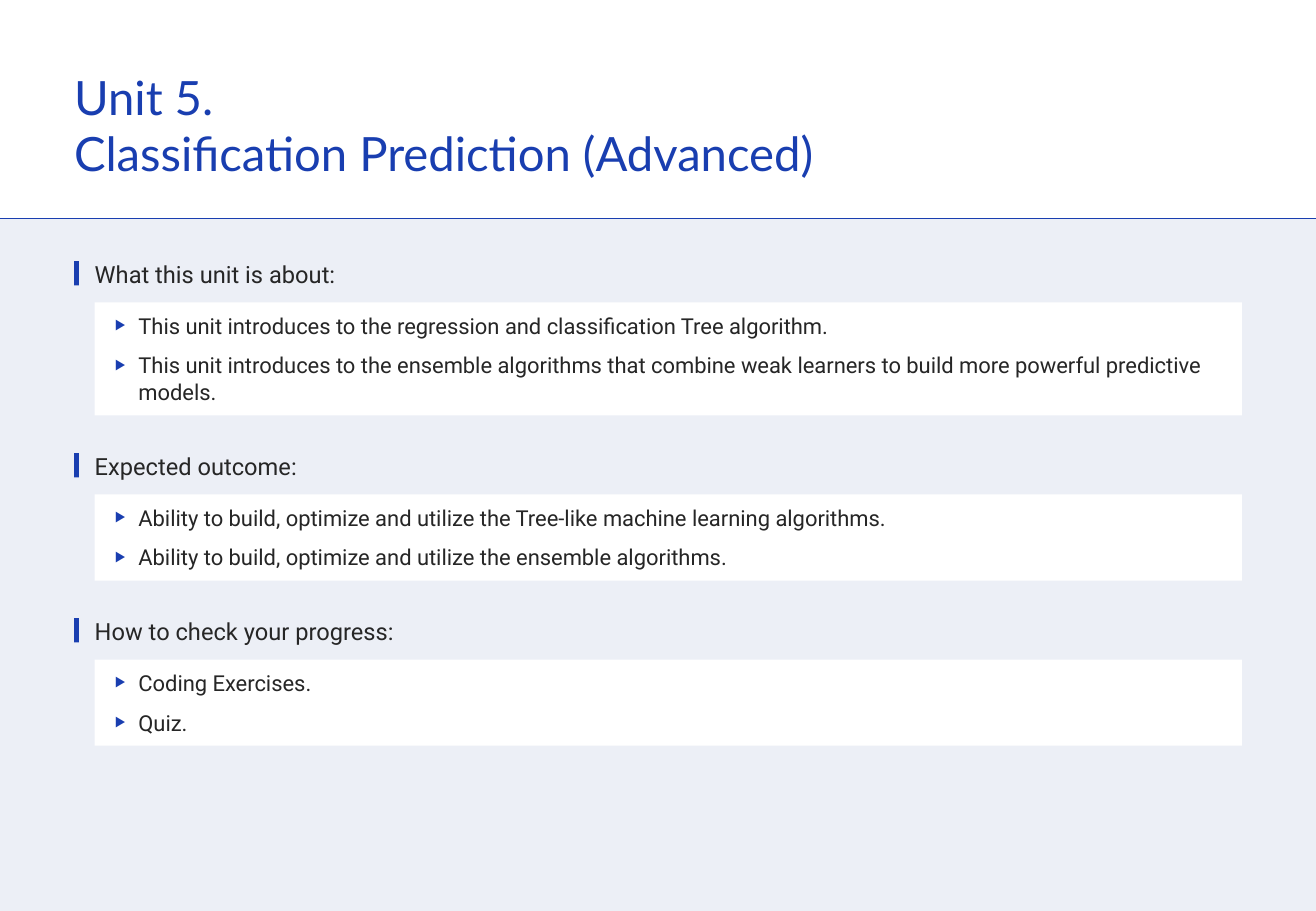
import dataclasses

import pptx
import pptx.dml.color
import pptx.enum.shapes
import pptx.enum.text
import pptx.oxml.ns
import pptx.util
from lxml import etree

PX = 9144
PAGE_WIDTH, PAGE_HEIGHT = 1083, 750
BODY_TOP = 180
LEFT, CONTENT_WIDTH = 61, 961
SECTION_GAP = 30


@dataclasses.dataclass(frozen=True)
class Theme:
    accent: str = "193EB0"
    ink: str = "262626"
    panel: str = "ECEFF6"
    white: str = "FFFFFF"
    title_font: str = "Lato"
    text_font: str = "Roboto"
    title_size: int = 28
    heading_size: int = 14
    body_size: int = 13


THEME = Theme()

SECTIONS = [
    ("What this unit is about:", 93, [
        "This unit introduces to the regression and classification Tree algorithm.",
        "This unit introduces to the ensemble algorithms that combine weak learners "
        "to build more powerful predictive models.",
    ]),
    ("Expected outcome:", 71, [
        "Ability to build, optimize and utilize the Tree-like machine learning algorithms.",
        "Ability to build, optimize and utilize the ensemble algorithms.",
    ]),
    ("How to check your progress:", 71, ["Coding Exercises.", "Quiz."]),
]


def px(*lengths):
    return [pptx.util.Emu(length * PX) for length in lengths]


def rgb(value):
    return pptx.dml.color.RGBColor.from_string(value)


def add_rectangle(page, left, top, width, height, colour):
    box = page.shapes.add_shape(
        pptx.enum.shapes.MSO_SHAPE.RECTANGLE, *px(left, top, width, height))
    box.shadow.inherit = False
    box.fill.solid()
    box.fill.fore_color.rgb = rgb(colour)
    box.line.fill.background()
    return box


def add_bullet(para):
    properties = para._p.get_or_add_pPr()
    indent = px(20)[0]
    properties.set("marL", str(indent))
    properties.set("indent", str(-indent))
    qn = pptx.oxml.ns.qn
    colour = etree.SubElement(properties, qn("a:buClr"))
    etree.SubElement(colour, qn("a:srgbClr")).set("val", THEME.accent)
    etree.SubElement(properties, qn("a:buFont")).set("typeface", THEME.text_font)
    etree.SubElement(properties, qn("a:buChar")).set("char", "‣")


def write(box, lines, font, size, colour, inset=(0, 0), after=0, bullets=False):
    frame = box.text_frame
    frame.word_wrap = True
    frame.vertical_anchor = pptx.enum.text.MSO_ANCHOR.TOP
    frame.margin_left, frame.margin_top = px(*inset)
    frame.margin_right, frame.margin_bottom = px(*inset)
    for index, line in enumerate(lines):
        para = frame.add_paragraph() if index else frame.paragraphs[0]
        para.alignment = pptx.enum.text.PP_ALIGN.LEFT
        para.space_after = pptx.util.Pt(after)
        if bullets:
            add_bullet(para)
        span = para.add_run()
        span.text = line
        span.font.name = font
        span.font.size = pptx.util.Pt(size)
        span.font.color.rgb = rgb(colour)


def add_background(page, top, width, height):
    add_rectangle(page, 0, top, width, height, THEME.panel)
    rule = page.shapes.add_connector(
        pptx.enum.shapes.MSO_CONNECTOR.STRAIGHT, *px(0, top, width, top))
    rule.line.color.rgb = rgb(THEME.accent)
    rule.line.width = pptx.util.Pt(0.5)
    etree.SubElement(rule._element.spPr, pptx.oxml.ns.qn("a:effectLst"))


def add_title(page, left, top, width, height):
    title = page.shapes.add_textbox(*px(left, top, width, height))
    write(title, ["Unit 5.", "Classification Prediction (Advanced)"],
          THEME.title_font, THEME.title_size, THEME.accent)


def add_section(page, left, top, width, heading, card_height, items):
    text_left, text_width = left + 17, width - 17
    card_top = top + 35
    add_rectangle(page, left, top + 1, 4, 20, THEME.accent)
    label = page.shapes.add_textbox(*px(text_left, top, text_width, 24))
    write(label, [heading], THEME.text_font, THEME.heading_size, THEME.ink, after=6)
    card = add_rectangle(page, text_left, card_top, text_width, card_height, THEME.white)
    write(card, items, THEME.text_font, THEME.body_size, THEME.ink,
          inset=(16, 8), after=8, bullets=True)
    return card_top + card_height


def main():
    deck = pptx.Presentation()
    deck.slide_width, deck.slide_height = px(PAGE_WIDTH, PAGE_HEIGHT)
    page = deck.slides.add_slide(deck.slide_layouts[6])
    add_background(page, BODY_TOP, PAGE_WIDTH, PAGE_HEIGHT - BODY_TOP)
    add_title(page, LEFT, 56, CONTENT_WIDTH, 94)
    top = 214
    for heading, card_height, items in SECTIONS:
        bottom = add_section(page, LEFT, top, CONTENT_WIDTH, heading, card_height, items)
        top = bottom + SECTION_GAP
    deck.save("out.pptx")


if __name__ == "__main__":
    main()
